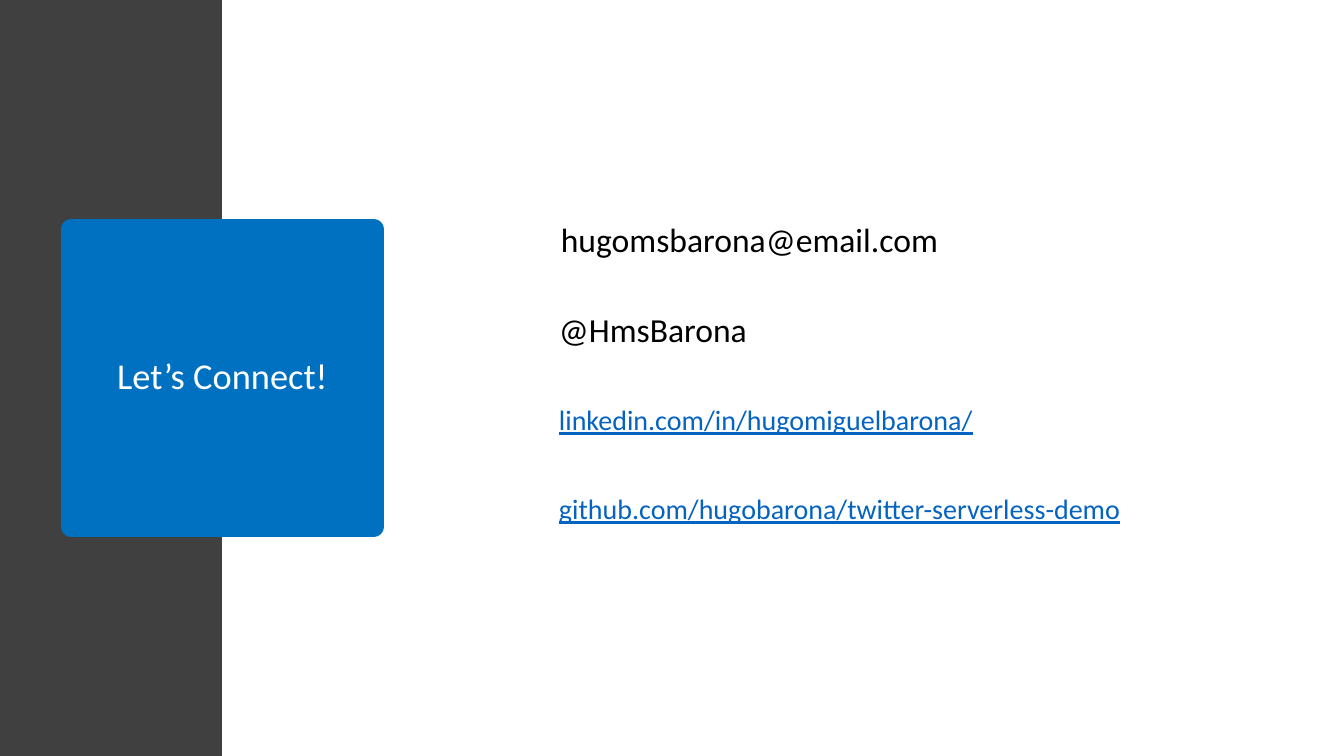
from lxml.etree import SubElement
from pptx import Presentation
from pptx.dml.color import RGBColor
from pptx.enum.shapes import MSO_SHAPE
from pptx.enum.text import MSO_ANCHOR, PP_ALIGN
from pptx.oxml.ns import qn
from pptx.util import Pt

PX = 914400 / 100.8
COLORS = {
    "band": "404040",
    "card": "0070C0",
    "title": "FFFFFF",
    "text": "000000",
    "link": "0563C1",
}


def px(*lengths):
    return [round(length * PX) for length in lengths]


def write(shape, text, size, color, underline=None, align=PP_ALIGN.LEFT,
          anchor=MSO_ANCHOR.TOP, line_spacing=None):
    frame = shape.text_frame
    frame.word_wrap = True
    frame.vertical_anchor = anchor
    paragraph = frame.paragraphs[0]
    paragraph.alignment = align
    paragraph.line_spacing = line_spacing
    run = paragraph.add_run()
    run.text = text
    run.font.name = "Calibri"
    run.font.size = Pt(size)
    run.font.underline = underline
    run.font.color.rgb = RGBColor.from_string(COLORS[color])


presentation = Presentation()
presentation.slide_width, presentation.slide_height = px(1344, 756)
slide = presentation.slides.add_slide(presentation.slide_layouts[6])

# Dark side band
band = slide.shapes.add_shape(MSO_SHAPE.RECTANGLE, *px(0, 0, 222, 756))
band.shadow.inherit = False
band.fill.solid()
band.fill.fore_color.rgb = RGBColor.from_string(COLORS["band"])
band.line.fill.background()

# Title card: the thick outline with round joins softens its corners
card = slide.shapes.add_shape(MSO_SHAPE.RECTANGLE, *px(71, 229, 303, 298))
card.shadow.inherit = False
card.fill.solid()
card.fill.fore_color.rgb = RGBColor.from_string(COLORS["card"])
card.line.color.rgb = RGBColor.from_string(COLORS["card"])
card.line.width = Pt(13.75)
SubElement(card.line._get_or_add_ln(), qn("a:round"))
write(card, "Let’s Connect!", size=26, color="title", align=PP_ALIGN.CENTER,
      anchor=MSO_ANCHOR.MIDDLE, line_spacing=0.9)

# Contact details: plain lines, then underlined addresses
contacts = [
    ("hugomsbarona@email.com", 551, 214, False),
    ("@HmsBarona", 549, 304, False),
    ("linkedin.com/in/hugomiguelbarona/", 549, 398, True),
    ("github.com/hugobarona/twitter-serverless-demo", 549, 487, True),
]
for text, left, top, is_link in contacts:
    width, height = (710, 44) if is_link else (783, 50)
    contact = slide.shapes.add_textbox(*px(left, top, width, height))
    write(contact, text, size=20 if is_link else 24,
          color="link" if is_link else "text", underline=is_link or None)

presentation.save("out.pptx")
